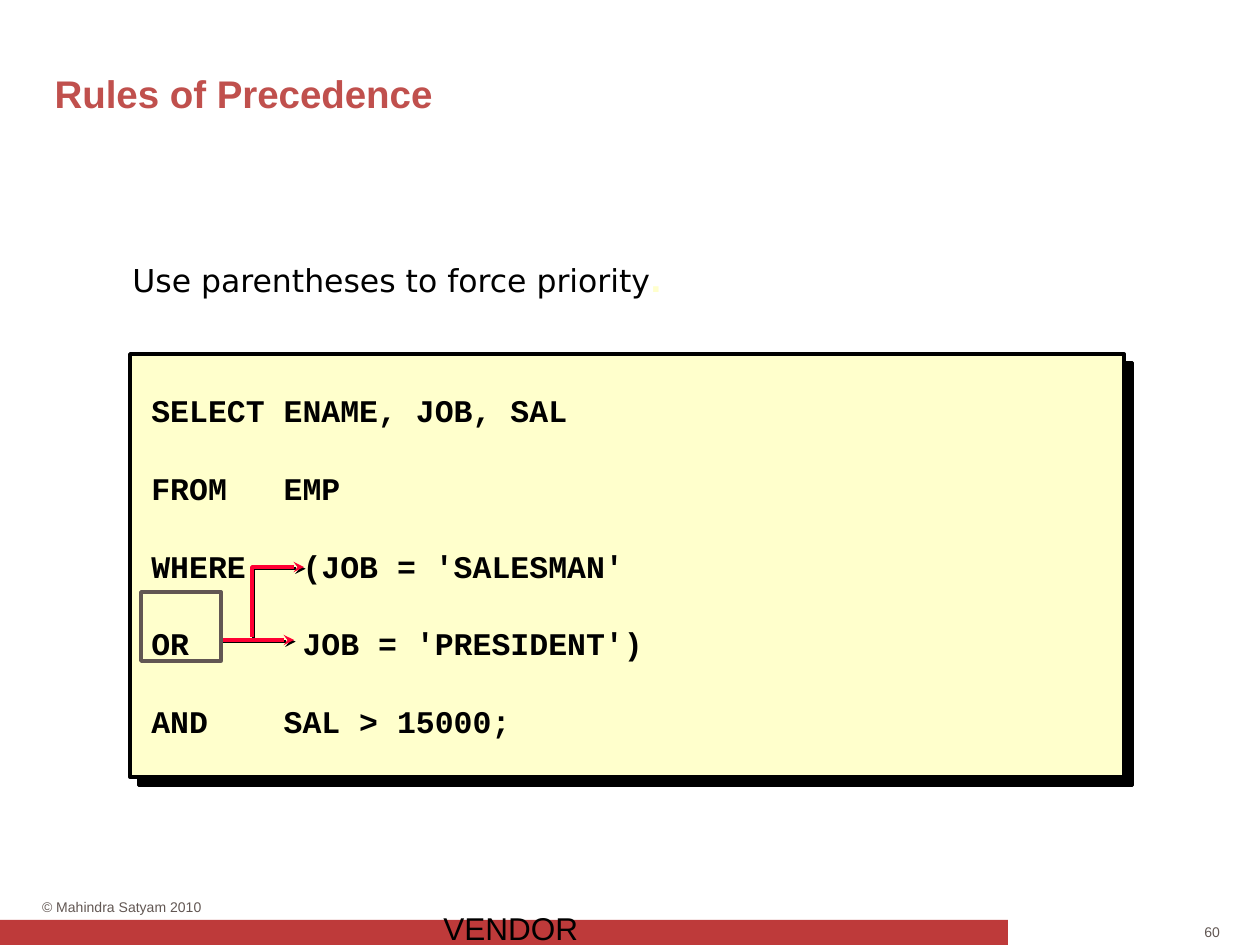
from lxml import etree
from pptx import Presentation
from pptx import util as u
from pptx.dml.color import RGBColor
from pptx.enum import shapes, text
from pptx.oxml.ns import qn

PX = u.Inches(1) / 126
BLACK = RGBColor(0x00, 0x00, 0x00)
BAR_RED = RGBColor(0xBE, 0x3A, 0x3A)
TITLE_RED = RGBColor(0xC0, 0x50, 0x4D)
ARROW_RED = RGBColor(0xFF, 0x00, 0x33)
CREAM = RGBColor(0xFF, 0xFF, 0xCC)
TAUPE = RGBColor(0x62, 0x57, 0x53)

QUERY = [
    "SELECT ENAME, JOB, SAL",
    "FROM   EMP",
    "WHERE   (JOB = 'SALESMAN'",
    "OR      JOB = 'PRESIDENT')",
    "AND    SAL > 15000;",
]


def px(*lengths):
    return [u.Emu(round(length * PX)) for length in lengths]


def add_run(paragraph, words, size, color, font="Arial", bold=False):
    run = paragraph.add_run()
    run.text = words
    run.font.name = font
    run.font.size = u.Pt(size)
    run.font.bold = bold
    run.font.color.rgb = color


def add_text(slide, box, inset=True, anchor=text.MSO_ANCHOR.TOP):
    """Add a wrapping text box and return its text frame."""
    frame = slide.shapes.add_textbox(*px(*box)).text_frame
    frame.word_wrap = True
    frame.vertical_anchor = anchor
    if not inset:
        frame.margin_left = frame.margin_right = 0
        frame.margin_top = frame.margin_bottom = 0
    return frame


def add_rect(slide, box, fill=None, line=None):
    rect = slide.shapes.add_shape(shapes.MSO_SHAPE.RECTANGLE, *px(*box))
    rect.shadow.inherit = False
    if fill is None:
        rect.fill.background()
    else:
        rect.fill.solid()
        rect.fill.fore_color.rgb = fill
    if line is None:
        rect.line.fill.background()
    else:
        rect.line.color.rgb = line
        rect.line.width = u.Pt(2)
    return rect


def add_hard_shadow(shape, distance):
    """Cast a sharp black shadow down and to the right, distance in points."""
    properties = shape._element.spPr
    effects = properties.find(qn("a:effectLst"))
    if effects is None:
        effects = etree.SubElement(properties, qn("a:effectLst"))
    shadow = etree.SubElement(
        effects, qn("a:outerShdw"), dist=str(u.Pt(distance)),
        dir="2700000", algn="ctr", rotWithShape="0")
    etree.SubElement(shadow, qn("a:srgbClr"), val=str(BLACK))


def style_arrow(arrow):
    arrow.line.color.rgb = ARROW_RED
    arrow.line.width = u.Pt(2)
    etree.SubElement(arrow.line._get_or_add_ln(), qn("a:tailEnd"), type="stealth")
    add_hard_shadow(arrow, 1.4)


def add_straight_arrow(slide, start, end):
    arrow = slide.shapes.add_connector(
        shapes.MSO_CONNECTOR.STRAIGHT, *px(*start, *end))
    style_arrow(arrow)


def add_bent_arrow(slide, start, *corners):
    builder = slide.shapes.build_freeform(*start, scale=PX)
    builder.add_line_segments(corners, close=False)
    arrow = builder.convert_to_shape()
    arrow.fill.background()
    arrow.shadow.inherit = False
    style_arrow(arrow)


def add_footer(slide):
    add_rect(slide, (0, 920, 1008, 25), BAR_RED)
    number = add_text(slide, (1180, 924, 40, 16), False,
                      text.MSO_ANCHOR.MIDDLE).paragraphs[0]
    number.alignment = text.PP_ALIGN.RIGHT
    add_run(number, "60", 8, TAUPE)
    rights = add_text(slide, (42, 898, 194, 16), False).paragraphs[0]
    add_run(rights, "© Mahindra Satyam 2010", 8, TAUPE)
    vendor = add_text(slide, (431, 903, 399, 34)).paragraphs[0]
    add_run(vendor, "VENDOR", 18, BLACK)


def set_title(slide, words):
    title = slide.shapes.title
    title.left, title.top, title.width, title.height = px(42, 64, 1177, 47)
    frame = title.text_frame
    frame.vertical_anchor = text.MSO_ANCHOR.TOP
    frame.paragraphs[0].alignment = text.PP_ALIGN.LEFT
    add_run(frame.paragraphs[0], words, 22, TITLE_RED, bold=True)


def add_query(slide):
    panel = add_rect(slide, (130, 354, 994, 423), CREAM, BLACK)
    add_hard_shadow(panel, 7.1)
    frame = add_text(slide, (139, 353, 985, 425),
                     anchor=text.MSO_ANCHOR.MIDDLE)
    for index, code in enumerate(QUERY):
        line = frame.add_paragraph() if index else frame.paragraphs[0]
        if index:
            line.space_before = u.Pt(22.75)
        add_run(line, code, 18, BLACK, "Courier New", True)


def main():
    deck = Presentation()
    deck.slide_width, deck.slide_height = u.Inches(10), u.Inches(7.5)
    slide = deck.slides.add_slide(deck.slide_layouts[5])

    add_footer(slide)
    set_title(slide, "Rules of Precedence")
    advice = add_text(slide, (120, 247, 731, 60),
                      anchor=text.MSO_ANCHOR.MIDDLE).paragraphs[0]
    add_run(advice, "Use parentheses to force priority", 18, BLACK, "DejaVu Sans")
    add_run(advice, ".", 22, CREAM, bold=True)

    add_query(slide)
    add_bent_arrow(slide, (252, 637), (252, 567), (304, 567))
    add_straight_arrow(slide, (221, 640), (294, 640))
    add_rect(slide, (141, 592, 80, 69), line=TAUPE)
    deck.save("out.pptx")


if __name__ == "__main__":
    main()
